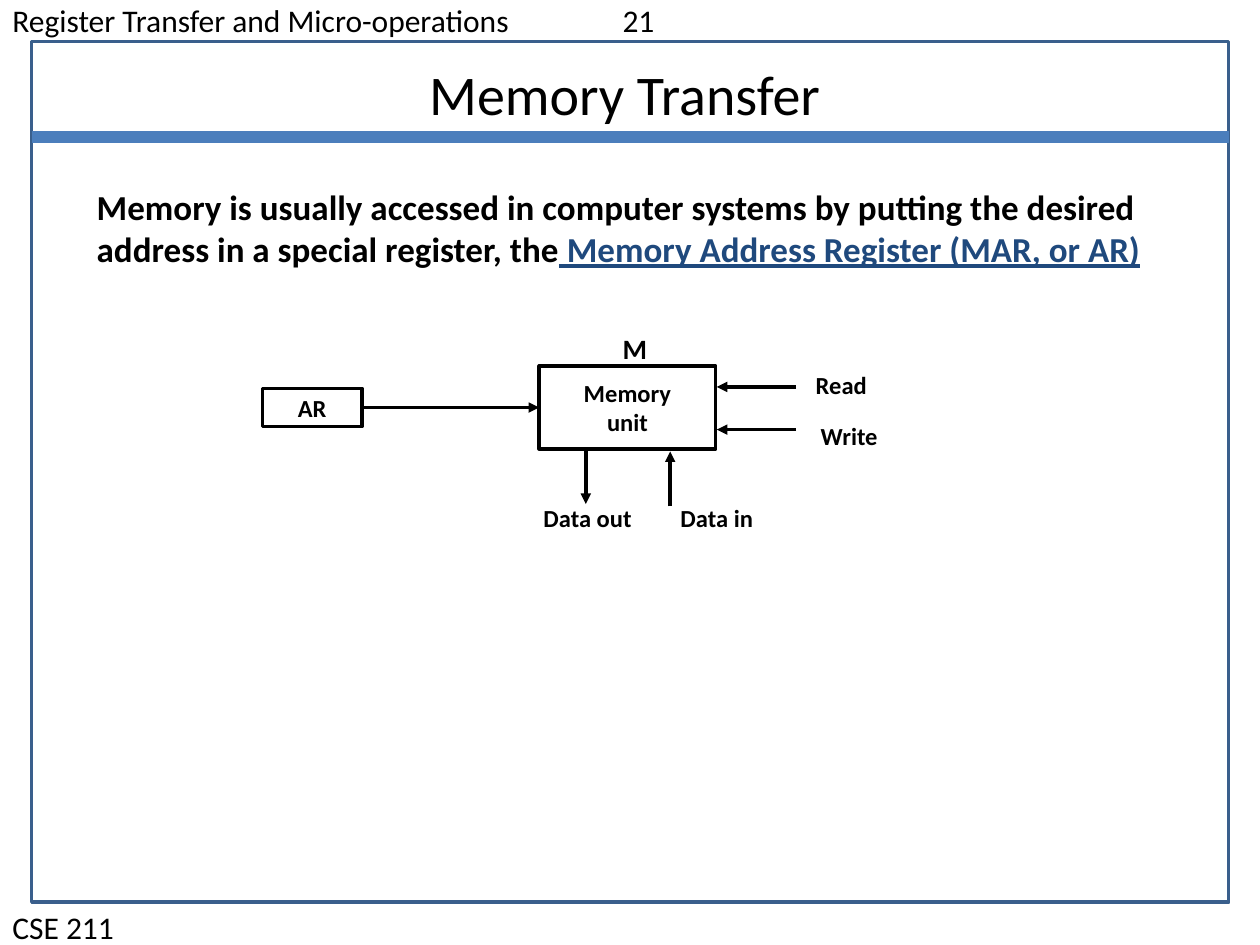
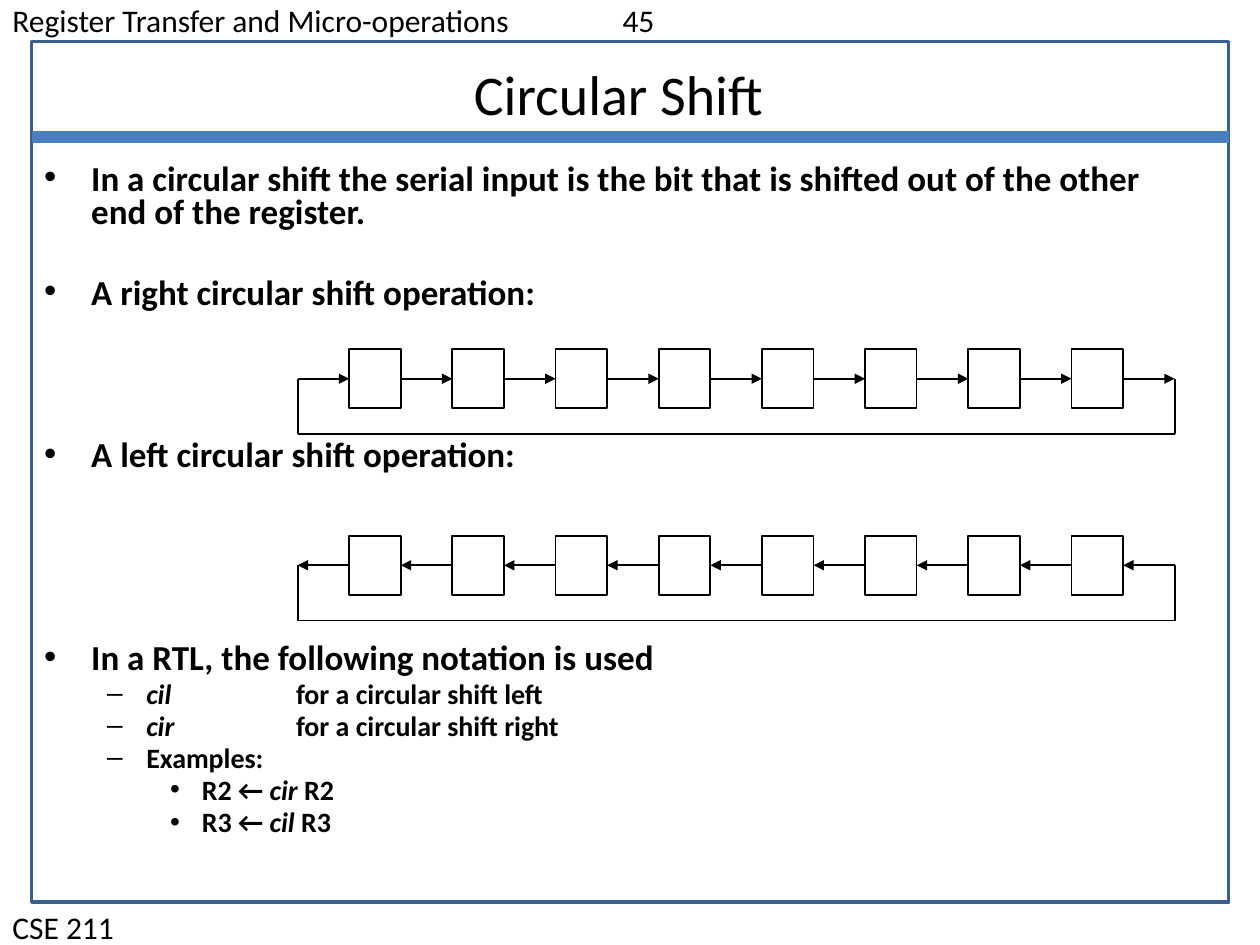
from dataclasses import dataclass

import pptx
import pptx.dml.color
import pptx.enum.shapes
import pptx.enum.text
import pptx.oxml.ns
import pptx.util
from lxml import etree
from pptx.util import Cm, Pt

COLORS = {"text": "000000", "accent": "1F497D", "frame": "3A5F8C", "band": "4B7EBC"}
FONT = "Calibri"
ALIGN = pptx.enum.text.PP_ALIGN
ANCHOR = pptx.enum.text.MSO_ANCHOR
TOP, LEFT, BOTTOM, RIGHT = range(4)

SLIDE_WIDTH, SLIDE_HEIGHT = 25.4, 19.05
FRAME_LEFT, FRAME_WIDTH = 0.64, 24.13
BAND_Y = 2.76
CELL_COUNT, CELL_WIDTH, CELL_HEIGHT = 8, 1.04, 1.19
CELL_GAP = CELL_WIDTH
FIRST_CELL_LEFT, LOOP_DROP = 7.04, 1.71


@dataclass(frozen=True)
class Box:
    """A rectangle in centimetres."""
    left: float
    top: float
    width: float
    height: float

    def lengths(self) -> tuple:
        return Cm(self.left), Cm(self.top), Cm(self.width), Cm(self.height)


@dataclass(frozen=True)
class Label:
    text: str
    box: Box
    size: int = 14
    margins: tuple = (0.25, 0.13)


@dataclass(frozen=True)
class Arrow:
    start: tuple
    end: tuple


@dataclass(frozen=True)
class Level:
    bullet: str
    left: float
    hanging: float
    size: int
    before: float


@dataclass(frozen=True)
class Point:
    """A bullet paragraph; every second part of the text, split at *, is italic."""
    text: str
    level: int = 0
    before: float | None = None


LEVELS = [
    Level("•", 0.95, 0.95, 20, 3.6),
    Level("–", 2.06, 0.79, 16, 3),
    Level("•", 3.18, 0.64, 16, 3),
]

TIGHT = (0.18, 0.08)
ADDRESS_REGISTER = Label("AR", Box(5.29, 7.83, 2.01, 0.77), margins=(0, 0))
MEMORY_UNIT = Label("Memory\nunit", Box(10.87, 7.38, 3.56, 1.67), margins=TIGHT)
MEMORY_LABELS = [
    Label("Read", Box(16.26, 7.37, 1.4, 0.74), margins=TIGHT),
    Label("Write", Box(16.36, 8.41, 1.52, 0.74), margins=TIGHT),
    Label("Data in", Box(13.46, 10.01, 1.98, 0.86)),
    Label("Data out", Box(10.69, 10.01, 2.31, 0.86)),
    Label("M", Box(12.29, 6.55, 1.02, 0.94), size=16),
]
MEMORY_SIGNALS = [
    Arrow((16.05, 7.8), (14.45, 7.8)),
    Arrow((16.05, 8.66), (14.45, 8.66)),
    Arrow((11.81, 9.1), (11.81, 10.16)),
    Arrow((13.51, 10.21), (13.51, 9.1)),
]

SHIFT_POINTS = [
    Point("In a circular shift the serial input is the bit that is shifted out "
          "of the other end of the register.", before=0),
    Point("A right circular shift operation:", before=26.8),
    Point("A left circular shift operation:", before=73.5),
    Point("In a RTL, the following notation is used", before=97),
    Point("*cil*\tfor a circular shift left", 1),
    Point("*cir*\tfor a circular shift right", 1),
    Point("Examples:", 1),
    Point("R2 ← *cir* R2", 2),
    Point("R3 ← *cil* R3", 2),
]


def rgb(name: str) -> pptx.dml.color.RGBColor:
    return pptx.dml.color.RGBColor.from_string(COLORS[name])


def write(paragraph, text: str, *, size: int, color: str = "text", bold: bool = False,
          italic: bool = False, underline: bool = False) -> None:
    run = paragraph.add_run()
    run.text = text
    font = run.font
    font.name, font.size, font.bold = FONT, Pt(size), bold
    font.italic, font.underline = italic, underline
    font.color.rgb = rgb(color)


def set_frame(frame, *, wrap: bool = True, margins: tuple = (0.25, 0.13),
              anchor: ANCHOR = ANCHOR.TOP) -> None:
    frame.word_wrap = wrap
    frame.auto_size = pptx.enum.text.MSO_AUTO_SIZE.NONE
    frame.vertical_anchor = anchor
    frame.margin_left = frame.margin_right = Cm(margins[0])
    frame.margin_top = frame.margin_bottom = Cm(margins[1])


def add_text_frame(slide, box: Box, **layout):
    frame = slide.shapes.add_textbox(*box.lengths()).text_frame
    set_frame(frame, **layout)
    return frame


def add_element(parent, tag: str, **attributes: str):
    return etree.SubElement(parent, pptx.oxml.ns.qn(tag), attributes)


def add_tab_stop(paragraph, position: float) -> None:
    tabs = add_element(paragraph._p.get_or_add_pPr(), "a:tabLst")
    add_element(tabs, "a:tab", pos=str(Cm(position)), algn="l")


def add_rectangle(slide, box: Box, *, color: str = "text", width: float = 2):
    kind = pptx.enum.shapes.MSO_SHAPE.RECTANGLE
    rectangle = slide.shapes.add_shape(kind, *box.lengths())
    rectangle.shadow.inherit = False
    rectangle.fill.background()
    rectangle.line.color.rgb = rgb(color)
    rectangle.line.width = Pt(width)
    return rectangle


def add_line(slide, start: tuple = (0, 0), end: tuple = (0, 0), *, color: str = "text",
             width: float = 2, arrow: bool = False):
    line = slide.shapes.add_connector(
        pptx.enum.shapes.MSO_CONNECTOR.STRAIGHT, *map(Cm, start + end))
    line.line.color.rgb = rgb(color)
    line.line.width = Pt(width)
    if arrow:
        add_element(line.line._get_or_add_ln(), "a:tailEnd", type="triangle")
    add_element(line._element.spPr, "a:effectLst")
    return line


def add_framed_slide(deck, title: str, number: int):
    """Add a slide with the title, frame, band, header and footer all slides share."""
    slide = deck.slides.add_slide(deck.slide_layouts[5])
    add_rectangle(slide, Box(FRAME_LEFT, 0.84, FRAME_WIDTH, 17.35), color="frame")
    add_line(slide, (FRAME_LEFT, BAND_Y), (FRAME_LEFT + FRAME_WIDTH, BAND_Y),
             color="band", width=6.75)

    header_box = Box(0, 0, SLIDE_WIDTH, 0.84)
    header = add_text_frame(slide, header_box, margins=(0.25, 0.03)).paragraphs[0]
    add_tab_stop(header, 12.3)
    write(header, f"Register Transfer and Micro-operations\t{number}", size=18)
    footer_box = Box(0, 18.21, SLIDE_WIDTH, 0.84)
    footer = add_text_frame(slide, footer_box, margins=(0.25, 0.1)).paragraphs[0]
    write(footer, "CSE 211", size=18)

    heading = slide.shapes.title
    heading.left, heading.top, heading.width, heading.height = Box(
        1.9, 1.07, 21.39, 1.63).lengths()
    set_frame(heading.text_frame)
    paragraph = heading.text_frame.paragraphs[0]
    paragraph.alignment = ALIGN.CENTER
    write(paragraph, title, size=32)
    return slide


def write_label(frame, label: Label) -> None:
    for index, line in enumerate(label.text.split("\n")):
        paragraph = frame.add_paragraph() if index else frame.paragraphs[0]
        paragraph.alignment = ALIGN.CENTER
        write(paragraph, line, size=label.size, bold=True)


def add_label(slide, label: Label) -> None:
    frame = add_text_frame(slide, label.box, wrap=False, margins=label.margins)
    write_label(frame, label)


def add_unit(slide, label: Label):
    """Draw a hardware unit: a rectangle with its label centred inside."""
    unit = add_rectangle(slide, label.box)
    set_frame(unit.text_frame, margins=label.margins, anchor=ANCHOR.MIDDLE)
    write_label(unit.text_frame, label)
    return unit


def add_points(slide, box: Box, points: list[Point]) -> None:
    frame = add_text_frame(slide, box)
    for index, point in enumerate(points):
        paragraph = frame.add_paragraph() if index else frame.paragraphs[0]
        level = LEVELS[point.level]
        paragraph.level = point.level
        properties = paragraph._p.get_or_add_pPr()
        properties.set("marL", str(Cm(level.left)))
        properties.set("indent", str(-Cm(level.hanging)))
        add_element(properties, "a:buFont", typeface="Arial")
        add_element(properties, "a:buChar", char=level.bullet)
        if "\t" in point.text:
            add_tab_stop(paragraph, 5.08)
        paragraph.line_spacing = 0.8
        paragraph.space_before = Pt(level.before if point.before is None else point.before)
        for part, text in enumerate(point.text.split("*")):
            if text:
                write(paragraph, text, size=level.size, bold=True, italic=part % 2 == 1)


def add_shift_register(slide, top: float, *, to_right: bool) -> None:
    """Draw a row of bit cells whose ends are joined by a loop below them."""
    pitch = CELL_WIDTH + CELL_GAP
    cells = [
        add_rectangle(slide, Box(FIRST_CELL_LEFT + i * pitch, top, CELL_WIDTH, CELL_HEIGHT),
                      width=1)
        for i in range(CELL_COUNT)
    ]
    middle, bottom = top + CELL_HEIGHT / 2, top + LOOP_DROP
    loop_left = FIRST_CELL_LEFT - CELL_GAP
    loop_right = FIRST_CELL_LEFT + CELL_COUNT * pitch

    entry, leave = (LEFT, RIGHT) if to_right else (RIGHT, LEFT)
    ordered = cells if to_right else cells[::-1]
    for source, target in zip(ordered, ordered[1:]):
        shift = add_line(slide, width=1, arrow=True)
        shift.begin_connect(source, leave)
        shift.end_connect(target, entry)

    start_x, end_x = (loop_left, loop_right) if to_right else (loop_right, loop_left)
    serial_in = add_line(slide, (start_x, middle), (start_x, middle), width=1, arrow=True)
    serial_in.end_connect(ordered[0], entry)
    serial_out = add_line(slide, (end_x, middle), (end_x, middle), width=1, arrow=True)
    serial_out.begin_connect(ordered[-1], leave)

    for x in (loop_left, loop_right):
        add_line(slide, (x, bottom), (x, middle), width=1)
    add_line(slide, (loop_left, bottom), (loop_right, bottom), width=1)


def build_memory_transfer(deck) -> None:
    slide = add_framed_slide(deck, "Memory Transfer", 21)
    intro = add_text_frame(slide, Box(1.7, 3.61, 22.43, 1.96)).paragraphs[0]
    write(intro, "Memory is usually accessed in computer systems by putting the desired "
          "address in a special register, the", size=20, bold=True)
    write(intro, " Memory Address Register (MAR, or AR)", size=20, bold=True,
          color="accent", underline=True)

    address_register = add_unit(slide, ADDRESS_REGISTER)
    memory_unit = add_unit(slide, MEMORY_UNIT)
    address = add_line(slide, arrow=True)
    address.begin_connect(address_register, RIGHT)
    address.end_connect(memory_unit, LEFT)
    for signal in MEMORY_SIGNALS:
        add_line(slide, signal.start, signal.end, arrow=True)
    for label in MEMORY_LABELS:
        add_label(slide, label)


def build_circular_shift(deck) -> None:
    slide = add_framed_slide(deck, "Circular Shift ", 45)
    add_points(slide, Box(FRAME_LEFT, 3.18, 23.06, 15.72), SHIFT_POINTS)
    add_shift_register(slide, 7.04, to_right=True)
    add_shift_register(slide, 10.8, to_right=False)


def main() -> None:
    deck = pptx.Presentation()
    deck.slide_width, deck.slide_height = Cm(SLIDE_WIDTH), Cm(SLIDE_HEIGHT)
    build_memory_transfer(deck)
    build_circular_shift(deck)
    deck.save("out.pptx")


if __name__ == "__main__":
    main()
